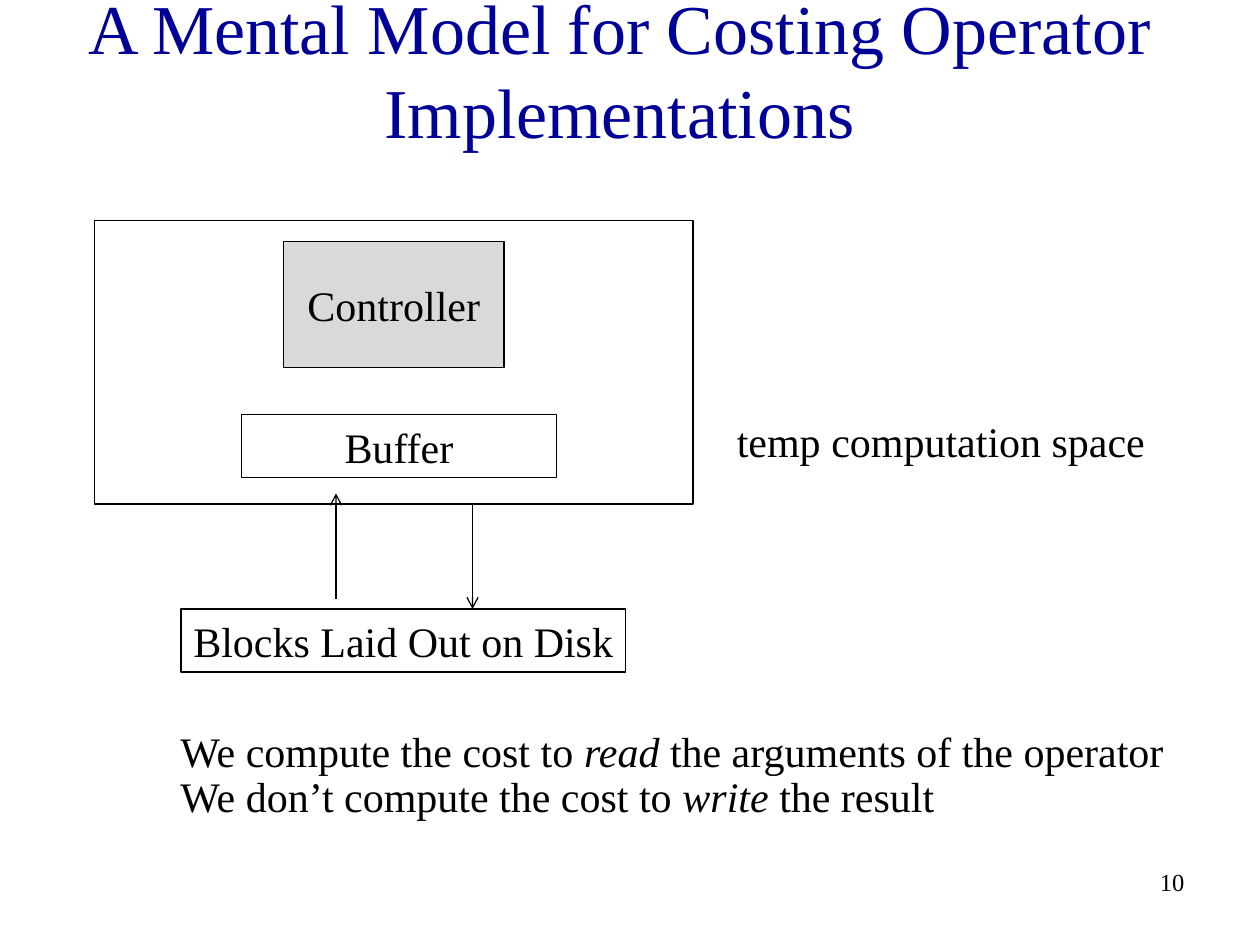
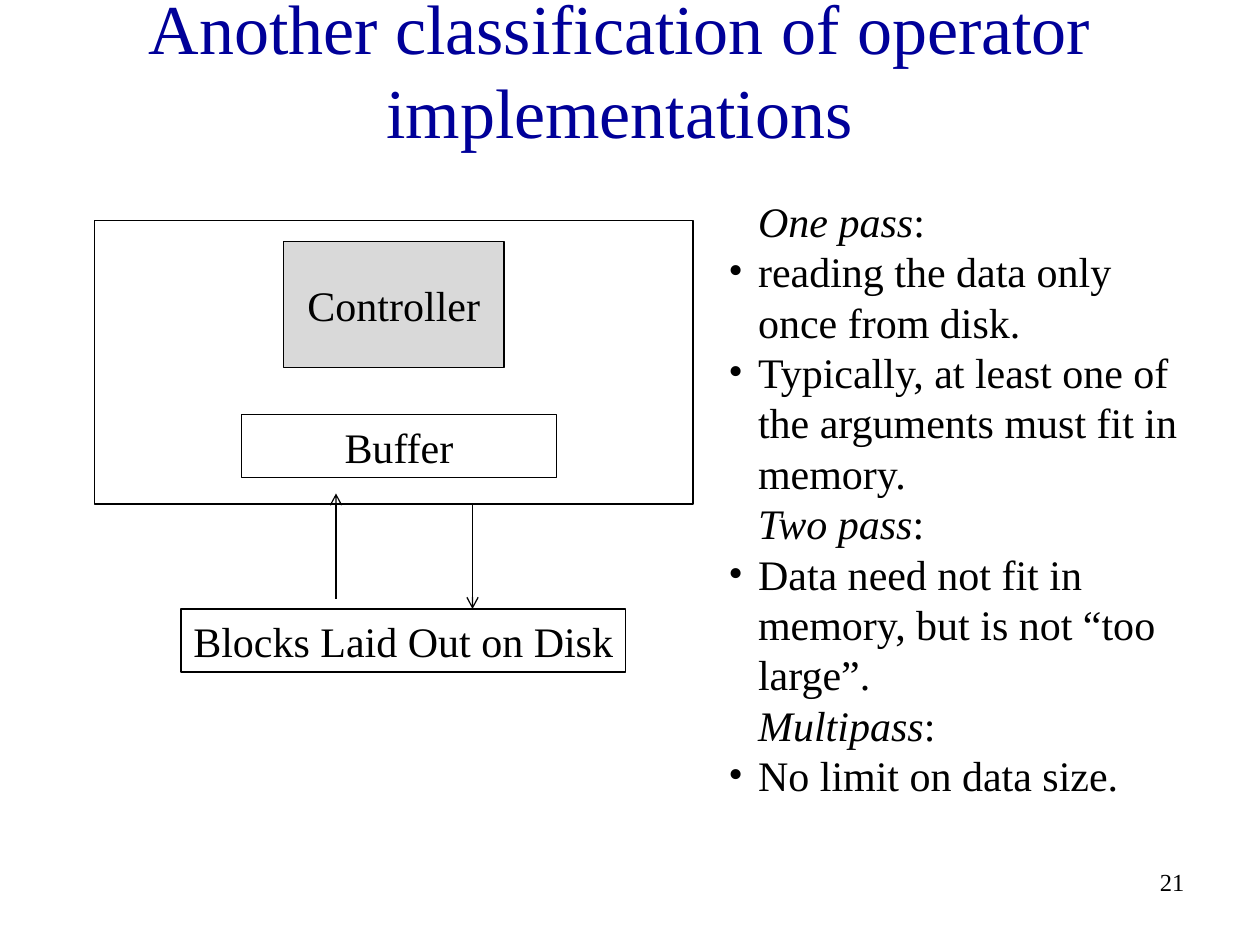
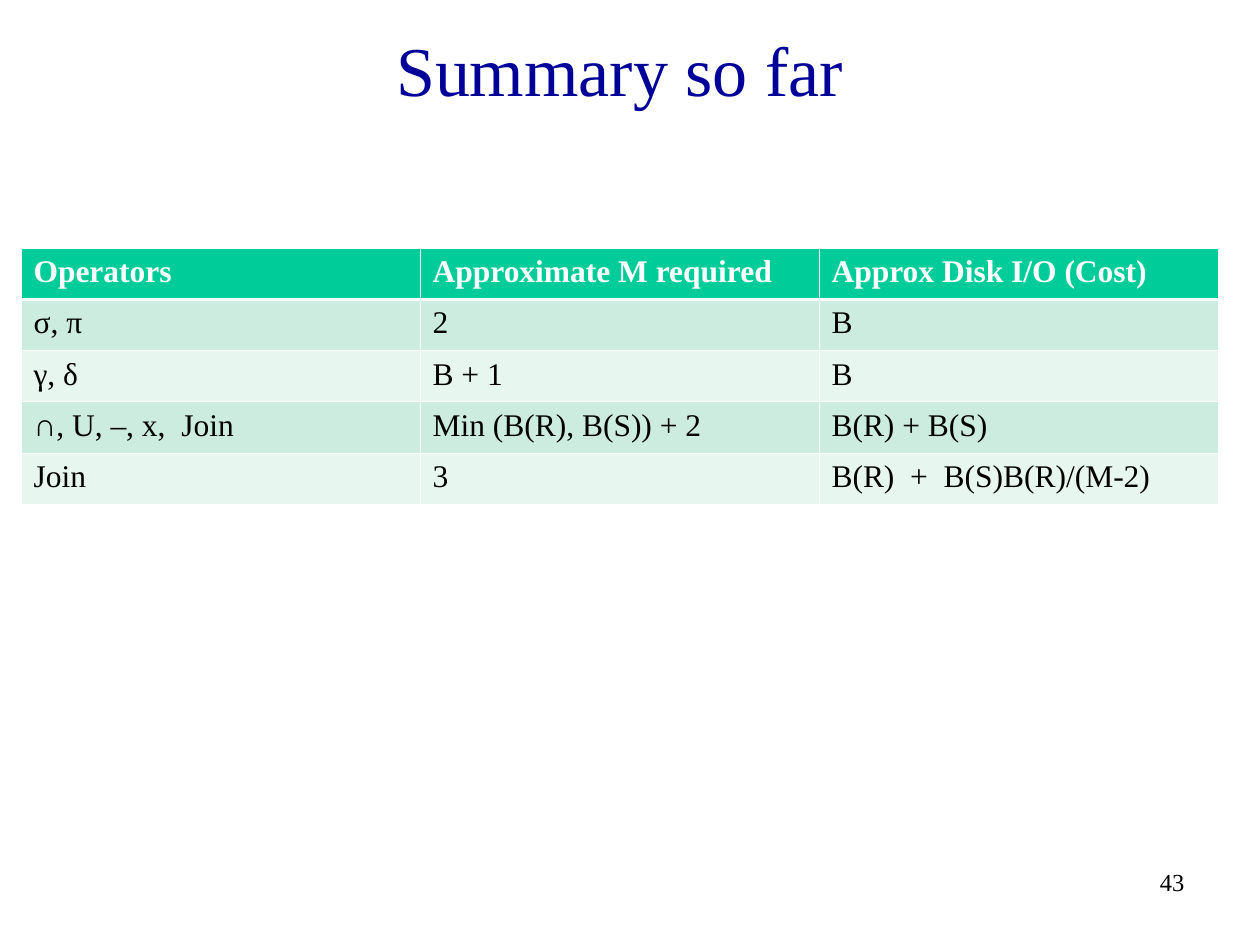
from pptx import Presentation
from pptx.dml.color import RGBColor
from pptx.enum.shapes import MSO_CONNECTOR as Connector, MSO_SHAPE as Shape
from pptx.enum.text import MSO_ANCHOR as Anchor, MSO_AUTO_SIZE as AutoSize, PP_ALIGN as Align
from pptx.oxml.ns import qn
from pptx.util import Pt
from lxml.etree import SubElement

FONT = "Times New Roman"
NAVY, BLACK, WHITE, GREY = "000099", "000000", "FFFFFF", "D9D9D9"
HEADER_GREEN, BAND_GREENS = "00CC99", ("CBECDE", "E7F6EF")
LEADING = 1.2
TITLE_BOX = (12, 12, 684, 54)
NUMBER_BOX = (534, 492, 150, 36)
TITLE_ONLY, TITLE_AND_BODY = 5, 1

# Text, left, top, width, height, fill
DIAGRAM = [
    ("", 54, 126, 342, 162, None),
    ("Controller", 162, 138, 126, 72, GREY),
    ("Buffer", 138, 237, 180, 36, None),
    ("Blocks Laid Out on Disk", 103.5, 348, 254, 36, None),
]
# x, start y, end y
TRANSFERS = [(192, 342, 282), (270, 288, 348)]

# A paragraph is a list of (text, italic) runs.
TEMP_SPACE = [[("temp computation space", False)]]
COST_RULES = [
    [("We compute the cost to ", False), ("read", True),
     (" the arguments of the operator", False)],
    [("We don’t compute the cost to ", False), ("write", True),
     (" the result", False)],
]
PASSES = [
    ("One pass", ["reading the data only once from disk.",
                  "Typically, at least one of the arguments must fit in memory."]),
    ("Two pass", ["Data need not fit in memory, but is not “too large”."]),
    ("Multipass", ["No limit on data size."]),
]
COSTS = [
    ("Operators", "Approximate M required", "Approx Disk I/O (Cost)"),
    ("σ, π", "2", "B"),
    ("γ, δ", "B + 1", "B"),
    ("∩, U, –, x,  Join", "Min (B(R), B(S)) + 2", "B(R) + B(S)"),
    ("Join", "3", "B(R)  +  B(S)B(R)/(M-2)"),
]


def rgb(color):
    return RGBColor.from_string(color)


def points(*lengths):
    return [Pt(length) for length in lengths]


def place(shape, box):
    shape.left, shape.top, shape.width, shape.height = points(*box)


def add_run(paragraph, text, size, color=BLACK, italic=False, bold=False):
    run = paragraph.add_run()
    run.text = text
    font = run.font
    font.name, font.size, font.italic, font.bold = FONT, Pt(size), italic, bold
    font.color.rgb = rgb(color)


def write(frame, paragraphs, size, color=BLACK, align=Align.LEFT,
          anchor=Anchor.TOP, wrap=True, tightness=1):
    """Fill a frame with paragraphs of (text, italic) runs."""
    frame.auto_size, frame.word_wrap = AutoSize.NONE, wrap
    frame.vertical_anchor = anchor
    for index, runs in enumerate(paragraphs):
        paragraph = frame.add_paragraph() if index else frame.paragraphs[0]
        paragraph.alignment = align
        paragraph.space_before = Pt(0)
        paragraph.line_spacing = Pt(round(size * LEADING * tightness, 1))
        for text, italic in runs:
            add_run(paragraph, text, size, color, italic)


def indent(paragraph, hanging=0, bullet=None):
    props = paragraph._p.get_or_add_pPr()
    props.set("marL", str(Pt(36)))
    props.set("indent", str(-Pt(hanging)))
    if bullet:
        SubElement(props, qn("a:buFont"), typeface=FONT)
        SubElement(props, qn("a:buChar"), char=bullet)
    else:
        SubElement(props, qn("a:buNone"))


def add_text(slide, box, paragraphs, size=24, **style):
    frame = slide.shapes.add_textbox(*points(*box)).text_frame
    write(frame, paragraphs, size, **style)
    return frame


def start_slide(deck, layout, title, number):
    slide = deck.slides.add_slide(deck.slide_layouts[layout])
    heading = slide.shapes.title
    place(heading, TITLE_BOX)
    write(heading.text_frame, [[(title, False)]], 40, NAVY,
          Align.CENTER, Anchor.MIDDLE)
    add_text(slide, NUMBER_BOX, [[(number, False)]], 14, align=Align.RIGHT)
    return slide


def add_box(slide, text, box, fill):
    shape = slide.shapes.add_shape(Shape.RECTANGLE, *points(*box))
    shape.shadow.inherit = False
    shape.line.color.rgb, shape.line.width = rgb(BLACK), Pt(0.75)
    if fill:
        shape.fill.solid()
        shape.fill.fore_color.rgb = rgb(fill)
    else:
        shape.fill.background()
    if text:
        write(shape.text_frame, [[(text, False)]], 24, align=Align.CENTER,
              anchor=Anchor.MIDDLE, wrap=False)


def add_arrow(slide, x, start, end):
    arrow = slide.shapes.add_connector(Connector.STRAIGHT, *points(x, start, x, end))
    arrow.line.color.rgb, arrow.line.width = rgb(BLACK), Pt(0.75)
    SubElement(arrow.line._get_or_add_ln(), qn("a:tailEnd"), type="arrow")
    SubElement(arrow._element.spPr, qn("a:effectLst"))


def add_memory_diagram(slide):
    for text, *box, fill in DIAGRAM:
        add_box(slide, text, box, fill)
    for transfer in TRANSFERS:
        add_arrow(slide, *transfer)


def add_pass_list(slide):
    entries = []
    for name, facts in PASSES:
        entries.append((None, [(name, True), (":", False)]))
        entries += [("•", [(fact, False)]) for fact in facts]
    body = slide.placeholders[1]
    place(body, (390, 108, 300, 353))
    write(body.text_frame, [runs for _, runs in entries], 24)
    for paragraph, (bullet, _) in zip(body.text_frame.paragraphs, entries):
        indent(paragraph, 17 if bullet else 0, bullet)


def set_borders(cell, widths):
    """Draw white borders; widths maps each side to points."""
    props = cell._tc.get_or_add_tcPr()
    for position, (side, width) in enumerate(widths.items()):
        line = SubElement(props, qn("a:ln" + side), w=str(Pt(width)))
        fill = SubElement(line, qn("a:solidFill"))
        SubElement(fill, qn("a:srgbClr"), val=WHITE)
        props.remove(line)
        props.insert(position, line)


def add_cost_table(slide):
    table = slide.shapes.add_table(
        len(COSTS), len(COSTS[0]), *points(12, 142, 684, 146)).table
    for row, texts in enumerate(COSTS):
        table.rows[row].height = Pt(29.2)
        header = row == 0
        widths = {"L": 0.45, "R": 0.45, "T": 1.47 if row == 1 else 0.45,
                  "B": 1.47 if header else 0.45}
        for column, text in enumerate(texts):
            cell = table.cell(row, column)
            cell.fill.solid()
            cell.fill.fore_color.rgb = rgb(
                HEADER_GREEN if header else BAND_GREENS[(row - 1) % 2])
            add_run(cell.text_frame.paragraphs[0], text, 18,
                    WHITE if header else BLACK, bold=header)
            set_borders(cell, widths)


def main():
    deck = Presentation()
    deck.slide_width, deck.slide_height = points(720, 540)

    model = start_slide(deck, TITLE_ONLY,
                        "A Mental Model for Costing Operator Implementations", "10")
    add_memory_diagram(model)
    add_text(model, (414, 234, 288, 36), TEMP_SPACE)
    rules = add_text(model, (60, 414, 636, 88), COST_RULES, tightness=0.9)
    for paragraph in rules.paragraphs:
        indent(paragraph)

    classes = start_slide(deck, TITLE_AND_BODY,
                          "Another classification of operator implementations", "21")
    add_memory_diagram(classes)
    add_pass_list(classes)

    summary = start_slide(deck, TITLE_ONLY, "Summary so far", "43")
    add_cost_table(summary)

    deck.save("out.pptx")


if __name__ == "__main__":
    main()
